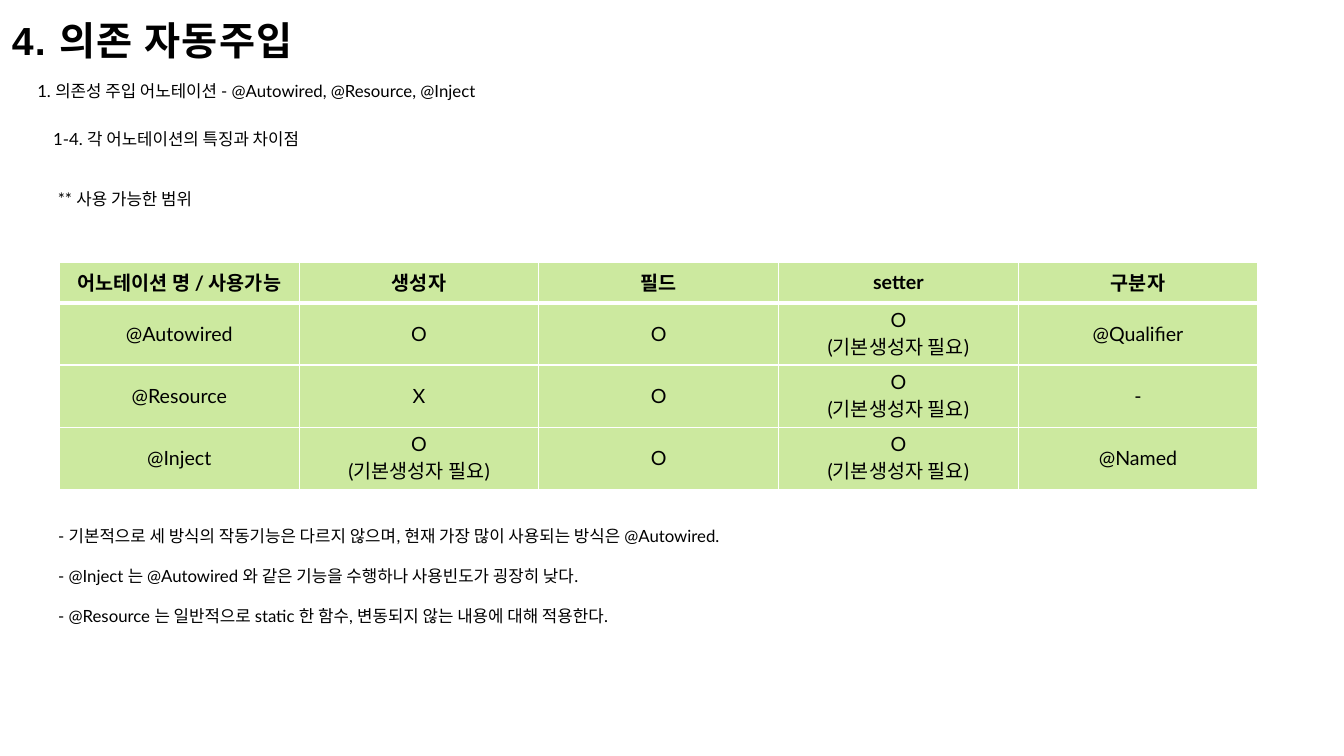
from lxml import etree
from pptx import Presentation
from pptx import util as u
from pptx.dml.color import RGBColor
from pptx.enum import text
from pptx.oxml import ns


def rgb(hex_color):
    return RGBColor.from_string(hex_color)


class Deck:
    """Holds the style and the current slide, and adds each kind of element."""

    font = "Lato"
    title_font = "Arial"
    ink = "000000"
    cell_fill = "CCE99F"
    border = "FFFFFF"

    def __init__(self, prs):
        self.s = prs.slides.add_slide(prs.slide_layouts[1])

    def place(self, sp, left, top, width, height):
        sp.left, sp.top = u.Cm(left), u.Cm(top)
        sp.width, sp.height = u.Cm(width), u.Cm(height)

    def style(self, p, size, font=None, bold=False):
        for r in p.runs:
            r.font.name = font or self.font
            r.font.size = u.Pt(size)
            r.font.bold = bold
            r.font.color.rgb = rgb(self.ink)

    def title(self, words, box):
        sp = self.s.shapes.title
        self.place(sp, *box)
        tf = sp.text_frame
        tf.text = words
        tf.auto_size = text.MSO_AUTO_SIZE.NONE
        tf.vertical_anchor = text.MSO_ANCHOR.MIDDLE
        tf.margin_left = tf.margin_right = tf.margin_top = u.Cm(0.3)
        tf.margin_bottom = u.Cm(0.25)
        p = tf.paragraphs[0]
        p.alignment = text.PP_ALIGN.LEFT
        p.line_spacing = 1.05
        self.style(p, 28, self.title_font, True)
        p.runs[0].font._element.set("spc", "100")

    def lines(self, tf, items):
        tf.text = "\n".join(words for words, _, _ in items)
        tf.word_wrap = True
        tf.auto_size = text.MSO_AUTO_SIZE.NONE
        for p, (_, indent, gap) in zip(tf.paragraphs, items):
            p.space_before = u.Pt(gap)
            self.style(p, 12)
            pPr = p._p.get_or_add_pPr()
            pPr.set("marL", str(u.Cm(indent)))
            pPr.set("indent", "0")
            etree.SubElement(pPr, ns.qn("a:buNone"))

    def textbox(self, items, box):
        sp = self.s.shapes.add_textbox(*map(u.Cm, box))
        self.lines(sp.text_frame, items)

    def body(self, items, box):
        sp = self.s.placeholders[1]
        self.place(sp, *box)
        self.lines(sp.text_frame, items)

    def cell_line(self, tcPr, side, width):
        ln = etree.SubElement(tcPr, ns.qn(f"a:ln{side}"), w=str(u.Pt(width)))
        fill = etree.SubElement(ln, ns.qn("a:solidFill"))
        etree.SubElement(fill, ns.qn("a:srgbClr"), val=self.border)

    def table(self, rows, left, top, col_width, heights):
        cols = len(rows[0])
        tbl = self.s.shapes.add_table(
            len(rows), cols, u.Cm(left), u.Cm(top),
            u.Cm(col_width * cols), u.Cm(sum(heights))).table
        tbl.horz_banding = False
        for col in tbl.columns:
            col.width = u.Cm(col_width)
        for i, (row, height) in enumerate(zip(rows, heights)):
            tbl.rows[i].height = u.Cm(height)
            for j, words in enumerate(row):
                self.cell(tbl.cell(i, j), words, i)

    def cell(self, cell, words, row):
        cell.text = words
        cell.vertical_anchor = text.MSO_ANCHOR.MIDDLE
        for p in cell.text_frame.paragraphs:
            p.alignment = text.PP_ALIGN.CENTER
            self.style(p, 14, bold=row == 0)
        tcPr = cell._tc.get_or_add_tcPr()
        widths = {"L": 1, "R": 1, "T": 3 if row == 1 else 1, "B": 3 if row == 0 else 1}
        for side, width in widths.items():
            self.cell_line(tcPr, side, width)
        cell.fill.solid()
        cell.fill.fore_color.rgb = rgb(self.cell_fill)


def main():
    prs = Presentation()
    prs.slide_width, prs.slide_height = u.Cm(33.87), u.Cm(19.05)
    deck = Deck(prs)

    deck.title("4. 의존 자동주입", (0, 0, 33.87, 1.9))
    deck.textbox([("1. 의존성 주입 어노테이션 - @Autowired, @Resource, @Inject", 0, 0)],
                 (0.69, 1.9, 32.77, 0.77))
    deck.textbox([("1-4. 각 어노테이션의 특징과 차이점", 0, 0),
                  ("** 사용 가능한 범위", 0.12, 28.6)],
                 (1.09, 3.12, 25.4, 2.31))

    needs_default = "O\n(기본생성자 필요)"
    deck.table([
        ("어노테이션 명 / 사용가능", "생성자", "필드", "setter", "구분자"),
        ("@Autowired", "O", "O", needs_default, "@Qualifier"),
        ("@Resource", "X", "O", needs_default, "-"),
        ("@Inject", needs_default, "O", needs_default, "@Named"),
    ], 1.5, 6.6, 6.04, [1.03] + [1.44] * 3)

    deck.body([
        ("- 기본적으로 세 방식의 작동기능은 다르지 않으며, 현재 가장 많이 사용되는 방식은 @Autowired.", 0.12, 0),
        ("- @Inject 는 @Autowired 와 같은 기능을 수행하나 사용빈도가 굉장히 낮다.", 0.12, 14.3),
        ("- @Resource 는 일반적으로 static 한 함수, 변동되지 않는 내용에 대해 적용한다.", 0.12, 14.3),
    ], (1.09, 13.11, 25.4, 2.82))

    prs.save("out.pptx")


if __name__ == "__main__":
    main()
